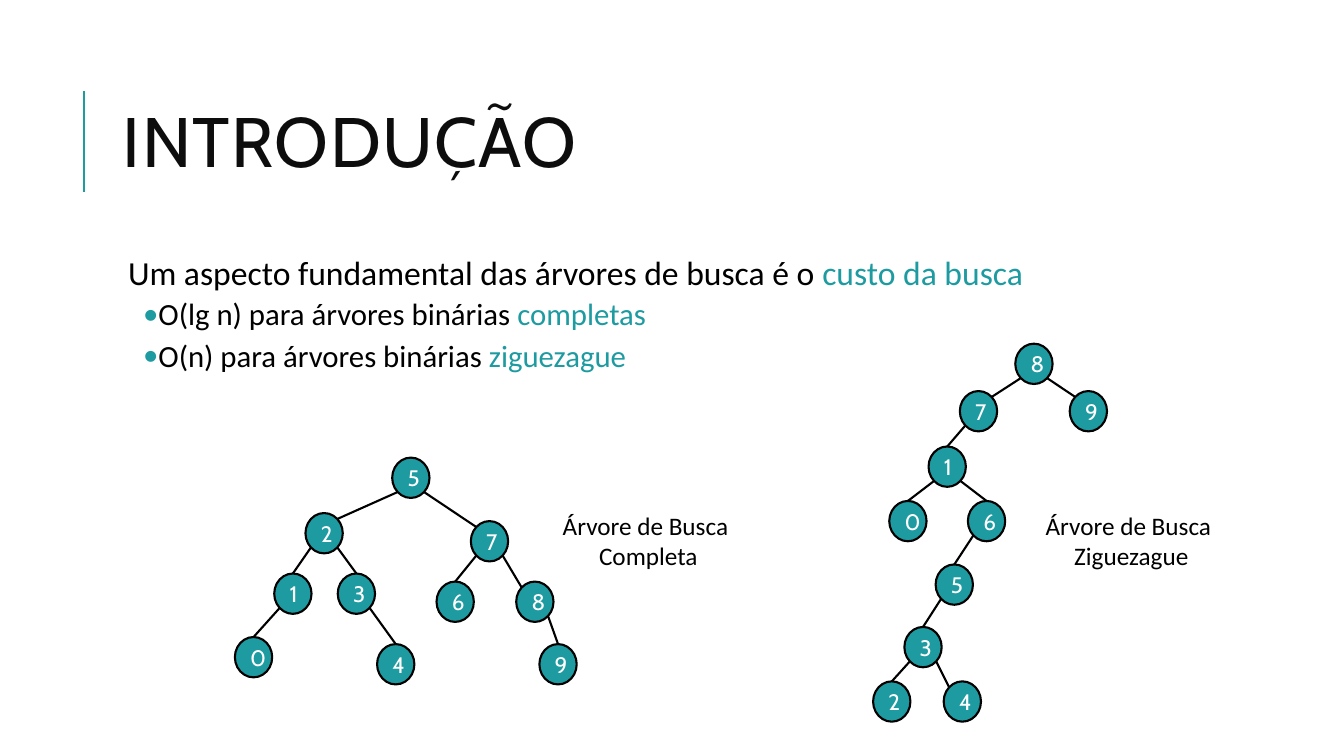
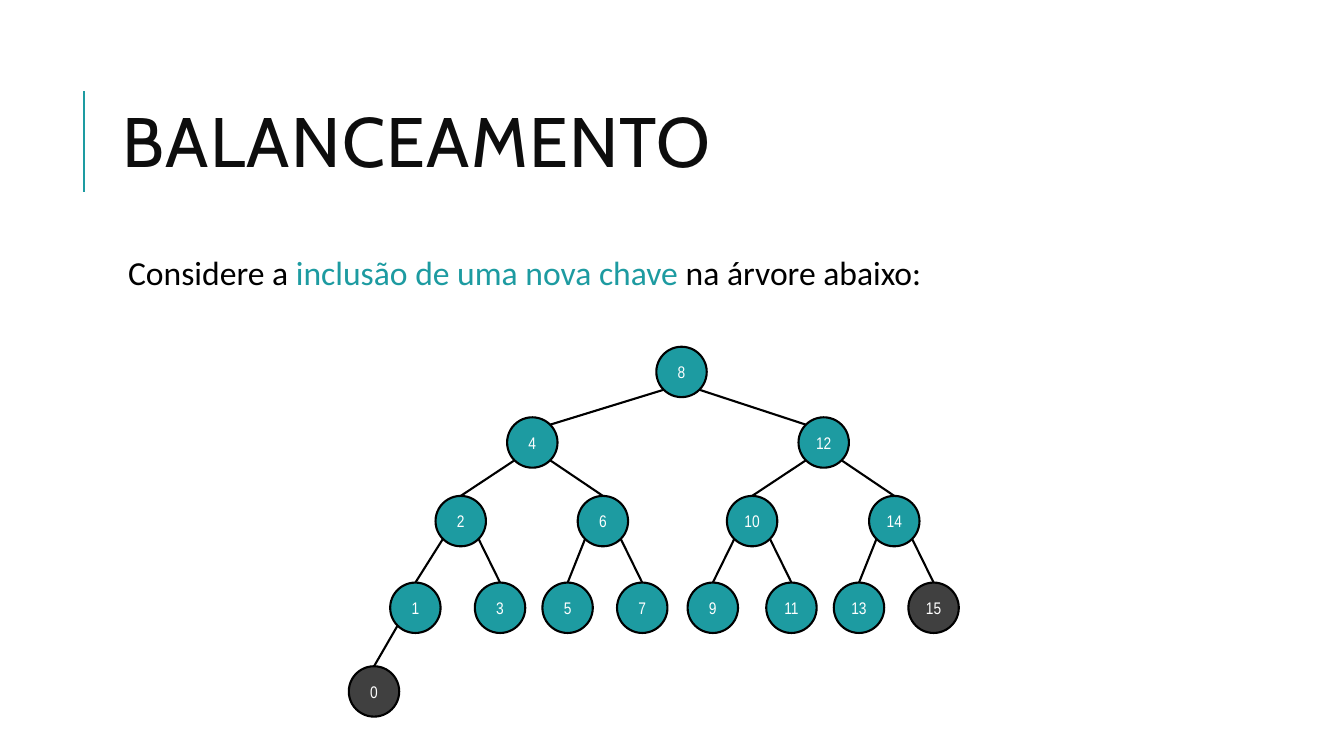
from dataclasses import dataclass

from lxml.etree import SubElement
from pptx import Presentation
from pptx.dml.color import RGBColor
from pptx.enum.shapes import MSO_CONNECTOR, MSO_SHAPE
from pptx.enum.text import MSO_ANCHOR, PP_ALIGN
from pptx.oxml.ns import qn
from pptx.util import Inches, Pt


@dataclass(frozen=True)
class Theme:
    accent: RGBColor = RGBColor.from_string("1D9BA1")
    title: RGBColor = RGBColor.from_string("0D0D0D")
    text: RGBColor = RGBColor.from_string("000000")
    light: RGBColor = RGBColor.from_string("FFFFFF")
    new_key: RGBColor = RGBColor.from_string("404040")
    title_font: str = "Cabin"
    body_font: str = "Calibri"
    title_size: int = 50
    lead_size: int = 24
    bullet_size: int = 22
    label_size: int = 18
    line_width: float = 1.5


@dataclass(frozen=True)
class NodeStyle:
    width: float
    height: float
    font: str
    size: int
    wrap: bool


THEME = Theme()
SMALL_NODE = NodeStyle(0.37, 0.4, "Cabin", 16, True)
LARGE_NODE = NodeStyle(0.5, 0.5, "Arial Narrow", 12, False)

TITLE_BOX = (1.12, 0.64, 10.63, 1.64)
BODY_BOX = (1.12, 2.5, 10.63, 4.4)
CORNER = 0.5 ** 0.5 / 2

# key: (left, top, parent, edge ends at the child's corner)
ZIGZAG_TREE = {
    8: (1.41, 0, None, False),
    7: (0.86, 0.47, 8, True),
    9: (1.95, 0.47, 8, True),
    1: (0.55, 1.02, 7, False),
    0: (0.16, 1.56, 1, False),
    6: (0.94, 1.56, 1, False),
    5: (0.62, 2.19, 6, False),
    3: (0.31, 2.81, 5, False),
    2: (0, 3.35, 3, False),
    4: (0.7, 3.35, 3, True),
}
COMPLETE_TREE = {
    5: (1.56, 0, None, False),
    2: (0.7, 0.55, 5, True),
    7: (2.34, 0.63, 5, True),
    1: (0.39, 1.15, 2, False),
    3: (1.02, 1.15, 2, False),
    6: (2, 1.23, 7, False),
    8: (2.79, 1.23, 7, True),
    0: (0, 1.78, 1, False),
    4: (1.41, 1.85, 3, False),
    9: (3.02, 1.85, 8, False),
}
BALANCED_TREE = {
    8: (3.05, 0, None, False),
    4: (1.57, 0.7, 8, True),
    12: (4.46, 0.7, 8, True),
    2: (0.86, 1.48, 4, False),
    6: (2.27, 1.48, 4, False),
    10: (3.75, 1.48, 12, False),
    14: (5.16, 1.48, 12, False),
    1: (0.41, 2.34, 2, False),
    3: (1.25, 2.34, 2, False),
    5: (1.92, 2.34, 6, False),
    7: (2.66, 2.34, 6, False),
    9: (3.36, 2.34, 10, False),
    11: (4.14, 2.34, 10, False),
    13: (4.81, 2.34, 14, False),
    15: (5.55, 2.34, 14, False),
    0: (0, 3.17, 1, False),
}


def add_run(paragraph, text, font, size, color):
    run = paragraph.add_run()
    run.text = text
    run.font.name = font
    run.font.size = Pt(size)
    run.font.color.rgb = color
    return run


def add_text_box(slide, box, wrap=True):
    frame = slide.shapes.add_textbox(*map(Inches, box)).text_frame
    frame.word_wrap = wrap
    return frame


def add_line(shapes, start, end, color):
    connector = shapes.add_connector(
        MSO_CONNECTOR.STRAIGHT, *map(Inches, (*start, *end)))
    connector.line.color.rgb = color
    connector.line.width = Pt(THEME.line_width)
    SubElement(connector._element.spPr, qn("a:effectLst"))


def add_title(slide, box, text):
    left, top, _, height = box
    middle = top + height / 2 - 0.06
    add_line(slide.shapes, (left - 0.29, middle + 0.5),
             (left - 0.29, middle - 0.5), THEME.accent)
    frame = add_text_box(slide, box)
    frame.vertical_anchor = MSO_ANCHOR.MIDDLE
    paragraph = frame.paragraphs[0]
    paragraph.line_spacing = 0.8
    run = add_run(paragraph, text, THEME.title_font, THEME.title_size, THEME.title)
    run._r.get_or_add_rPr().set("spc", "100")


def add_bullet(paragraph):
    properties = paragraph._p.get_or_add_pPr()
    color = SubElement(properties, qn("a:buClr"))
    SubElement(color, qn("a:srgbClr")).set("val", str(THEME.accent))
    SubElement(properties, qn("a:buFont")).set("typeface", THEME.body_font)
    SubElement(properties, qn("a:buChar")).set("char", "•")


def add_body(slide, box, lines):
    frame = add_text_box(slide, box)
    frame.margin_left = frame.margin_right = Inches(0.05)
    frame.margin_top = frame.margin_bottom = Inches(0.05)
    for index, parts in enumerate(lines):
        is_bullet = index > 0
        paragraph = frame.add_paragraph() if is_bullet else frame.paragraphs[0]
        paragraph.line_spacing = 0.9
        paragraph.space_before = Pt(2 if is_bullet else 12)
        paragraph.space_after = Pt(4 if is_bullet else 2)
        properties = paragraph._p.get_or_add_pPr()
        properties.set("marL", str(Inches(0.4 if is_bullet else 0.1)))
        properties.set("indent", str(Inches(-0.15 if is_bullet else 0)))
        if is_bullet:
            add_bullet(paragraph)
        size = THEME.bullet_size if is_bullet else THEME.lead_size
        for text, color in parts:
            add_run(paragraph, text, THEME.body_font, size, color)


def add_node(shapes, box, key, style, fill):
    node = shapes.add_shape(MSO_SHAPE.OVAL, *map(Inches, box))
    node.shadow.inherit = False
    node.fill.solid()
    node.fill.fore_color.rgb = fill
    node.line.color.rgb = THEME.text
    node.line.width = Pt(THEME.line_width)
    frame = node.text_frame
    frame.word_wrap = style.wrap
    frame.vertical_anchor = MSO_ANCHOR.MIDDLE
    paragraph = frame.paragraphs[0]
    paragraph.alignment = PP_ALIGN.CENTER
    add_run(paragraph, str(key), style.font, style.size, THEME.light)


def add_tree(slide, origin, nodes, style, new_keys=()):
    shapes = slide.shapes.add_group_shape().shapes
    width, height = style.width, style.height
    centers = {
        key: (origin[0] + left + width / 2, origin[1] + top + height / 2)
        for key, (left, top, _, _) in nodes.items()
    }

    def edge_point(key, side, vertical):
        x, y = centers[key]
        reach = CORNER if side else 0.5
        return x + side * CORNER * width, y + vertical * reach * height

    for key, (_, _, parent, at_corner) in nodes.items():
        if parent is not None:
            side = -1 if key < parent else 1
            add_line(shapes, edge_point(parent, side, 1),
                     edge_point(key, -side if at_corner else 0, -1), THEME.text)
    for key, (x, y) in centers.items():
        fill = THEME.new_key if key in new_keys else THEME.accent
        add_node(shapes, (x - width / 2, y - height / 2, width, height),
                 key, style, fill)


def add_tree_label(slide, box, kind):
    paragraph = add_text_box(slide, box, wrap=False).paragraphs[0]
    paragraph.alignment = PP_ALIGN.CENTER
    add_run(paragraph, "Árvore de Busca ", THEME.body_font, THEME.label_size, THEME.text)
    paragraph.add_line_break()
    add_run(paragraph, kind, THEME.body_font, THEME.label_size, THEME.text)


def add_content_slide(presentation, title, lines):
    slide = presentation.slides.add_slide(presentation.slide_layouts[6])
    add_title(slide, TITLE_BOX, title)
    add_body(slide, BODY_BOX, lines)
    return slide


def build_introduction(presentation):
    slide = add_content_slide(presentation, "INTRODUÇÃO", [
        [("Um aspecto fundamental das árvores de busca é o ", THEME.text),
         ("custo da busca", THEME.accent)],
        [("O(lg n) para árvores binárias ", THEME.text),
         ("completas", THEME.accent)],
        [("O(n) para árvores binárias ", THEME.text),
         ("ziguezague", THEME.accent)],
    ])
    add_tree(slide, (8.66, 3.41), ZIGZAG_TREE, SMALL_NODE)
    add_tree_label(slide, (10.26, 5.01, 1.92, 0.71), "Ziguezague")
    add_tree(slide, (2.33, 4.54), COMPLETE_TREE, SMALL_NODE)
    add_tree_label(slide, (5.47, 5.01, 1.92, 0.71), "Completa")


def build_balancing(presentation):
    slide = add_content_slide(presentation, "BALANCEAMENTO", [
        [("Considere a ", THEME.text),
         ("inclusão de uma nova chave ", THEME.accent),
         ("na árvore abaixo:", THEME.text)],
    ])
    add_tree(slide, (3.46, 3.44), BALANCED_TREE, LARGE_NODE, new_keys=(0, 15))


def main():
    presentation = Presentation()
    presentation.slide_width = Inches(13.33)
    presentation.slide_height = Inches(7.5)
    build_introduction(presentation)
    build_balancing(presentation)
    presentation.save("out.pptx")


if __name__ == "__main__":
    main()
